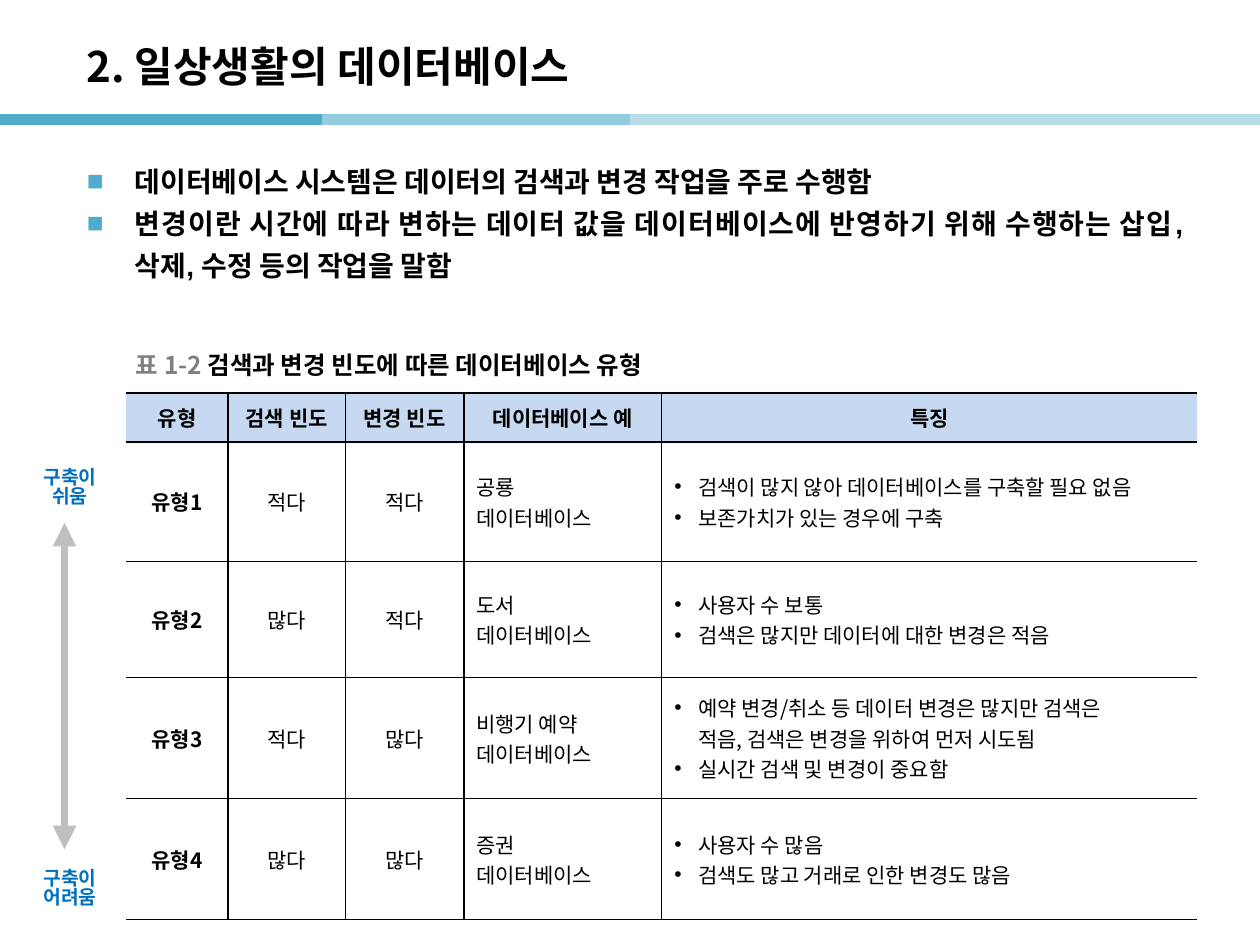
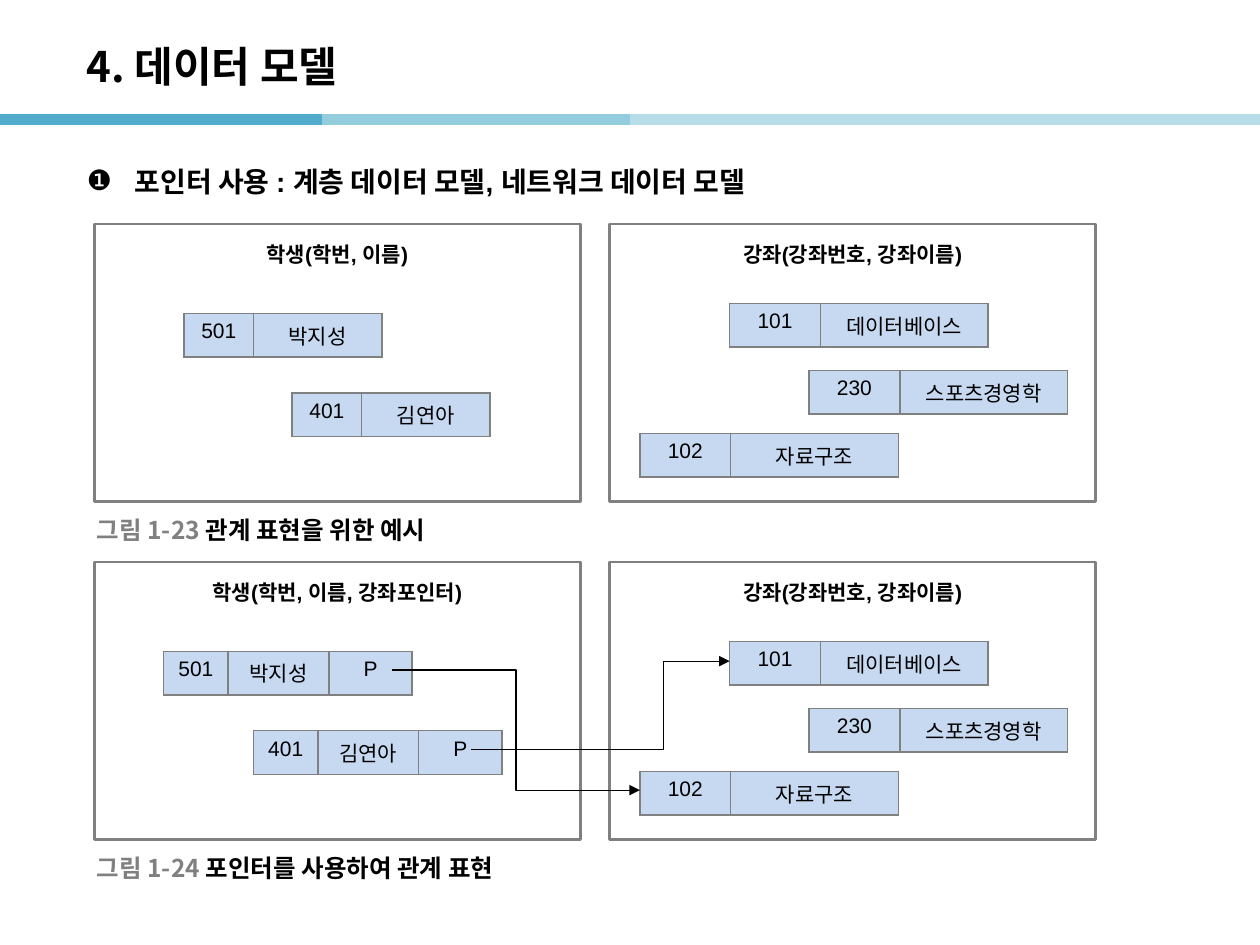
from lxml.etree import SubElement
from pptx import Presentation
from pptx.dml.color import RGBColor
from pptx.enum.shapes import MSO_CONNECTOR, MSO_SHAPE
from pptx.enum.text import MSO_ANCHOR, PP_ALIGN
from pptx.oxml.ns import qn
from pptx.util import Cm, Pt

COLORS = {
    "black": "000000", "white": "FFFFFF", "gray": "808080", "arrow": "BFBFBF",
    "cell": "C6D9F1", "label": "0070C0",
    "band_dark": "50ABCC", "band_mid": "93CDDD", "band_light": "B7DEE8",
}
KOREAN = "Noto Sans CJK KR"
LATIN = "Arial"
BANDS = [(0, 6.5, "band_dark"), (6.5, 13, "band_mid"),
         (12.7, 19.2, "band_light"), (18.95, 25.4, "band_light")]

TYPE_COLUMNS = [2.06, 2.36, 2.39, 3.99, 10.8]
TYPE_ROWS = [0.99, 2.41, 2.34, 2.44, 2.44]
TYPE_TABLE = [
    ["유형", "검색 빈도", "변경 빈도", "데이터베이스 예", "특징"],
    ["유형1", "적다", "적다", ["공룡", "데이터베이스"],
     ["검색이 많지 않아 데이터베이스를 구축할 필요 없음", "보존가치가 있는 경우에 구축"]],
    ["유형2", "많다", "적다", ["도서", "데이터베이스"],
     ["사용자 수 보통", "검색은 많지만 데이터에 대한 변경은 적음"]],
    ["유형3", "적다", "많다", ["비행기 예약", "데이터베이스"],
     ["예약 변경/취소 등 데이터 변경은 많지만 검색은\n적음, 검색은 변경을 위하여 먼저 시도됨",
      "실시간 검색 및 변경이 중요함"]],
    ["유형4", "많다", "많다", ["증권", "데이터베이스"],
     ["사용자 수 많음", "검색도 많고 거래로 인한 변경도 많음"]],
]

PANEL_LEFTS = [1.9, 12.29]
PANEL_TOP = 4.52
FIGURE_STEP = 6.81
STUDENT_COLUMNS = [1.4, 2.59]
POINTER_COLUMNS = [1.3, 2.03, 1.68]
COURSE_COLUMNS = [1.83, 3.38]
COURSES = [(14.71, 6.12, ["101", "데이터베이스"]),
           (16.31, 7.47, ["230", "스포츠경영학"]),
           (12.9, 8.74, ["102", "자료구조"])]
FIGURES = [
    ("학생(학번, 이름)", STUDENT_COLUMNS,
     [(3.71, 6.32, ["501", "박지성"]), (5.89, 7.92, ["401", "김연아"])],
     "그림 1-23 ", "관계 표현을 위한 예시"),
    ("학생(학번, 이름, 강좌포인터)", POINTER_COLUMNS,
     [(3.3, 6.32, ["501", "박지성", "P"]), (5.11, 7.92, ["401", "김연아", "P"])],
     "그림 1-24 ", "포인터를 사용하여 관계 표현"),
]


def rgb(name):
    """Return the named colour."""
    return RGBColor.from_string(COLORS[name])


def add_bullet(paragraph, character, indent, color):
    """Give a paragraph a hanging bullet."""
    properties = paragraph._p.get_or_add_pPr()
    properties.set("marL", str(Cm(indent)))
    properties.set("indent", str(-Cm(indent)))
    bullet_color = SubElement(properties, qn("a:buClr"))
    SubElement(bullet_color, qn("a:srgbClr"), val=COLORS[color])
    SubElement(properties, qn("a:buFont"), typeface=LATIN)
    SubElement(properties, qn("a:buChar"), char=character)


def write_text(frame, paragraphs, size=12, font=KOREAN, color="black", bold=False,
               align=PP_ALIGN.LEFT, spacing=None, bullet=None, indent=0.48,
               bullet_color="black"):
    """Fill a frame with paragraphs, each a string or a list of (text, colour) runs."""
    for index, content in enumerate(paragraphs):
        paragraph = frame.add_paragraph() if index else frame.paragraphs[0]
        paragraph.alignment = align
        if spacing:
            paragraph.line_spacing = spacing
        if bullet:
            add_bullet(paragraph, bullet, indent, bullet_color)
        runs = [(content, color)] if isinstance(content, str) else content
        for text, run_color in runs:
            for number, line in enumerate(text.split("\n")):
                if number:
                    paragraph.add_line_break()
                run = paragraph.add_run()
                run.text = line
                run.font.size = Pt(size)
                run.font.bold = bold
                run.font.name = font
                run.font.color.rgb = rgb(run_color)
                SubElement(run._r.get_or_add_rPr(), qn("a:ea"), typeface=KOREAN)


def add_text(slide, left, top, width, height, paragraphs, anchor=MSO_ANCHOR.MIDDLE,
             margin=0.25, **text_format):
    """Add a wrapped text box."""
    frame = slide.shapes.add_textbox(Cm(left), Cm(top), Cm(width), Cm(height)).text_frame
    frame.word_wrap = True
    frame.vertical_anchor = anchor
    frame.margin_left = frame.margin_right = Cm(margin)
    write_text(frame, paragraphs, **text_format)


def add_line(slide, start, end, color, width, kind=MSO_CONNECTOR.STRAIGHT,
             arrows=(), bend=None):
    """Add a connector with arrowheads at the named ends."""
    connector = slide.shapes.add_connector(kind, *(Cm(value) for value in (*start, *end)))
    connector.line.color.rgb = rgb(color)
    connector.line.width = Pt(width)
    properties = connector._element.spPr
    for arrow in arrows:
        SubElement(connector.line._get_or_add_ln(), qn(f"a:{arrow}"), type="triangle")
    if bend:
        guides = properties.find(qn("a:prstGeom")).find(qn("a:avLst"))
        SubElement(guides, qn("a:gd"), name="adj1", fmla=f"val {bend}")
    SubElement(properties, qn("a:effectLst"))


def style_cell(cell, fill, border, open_sides=()):
    """Set the fill and borders of a cell, leaving the open sides bare."""
    properties = cell._tc.get_or_add_tcPr()
    for side in "LRTB":
        line = SubElement(properties, qn(f"a:ln{side}"), w=str(Pt(1)))
        if side in open_sides:
            SubElement(line, qn("a:noFill"))
        else:
            solid = SubElement(line, qn("a:solidFill"))
            SubElement(solid, qn("a:srgbClr"), val=COLORS[border])
    cell.fill.solid()
    cell.fill.fore_color.rgb = rgb(fill)


def add_grid(slide, left, top, columns, rows):
    """Add a plain table with the given column widths and row heights."""
    table = slide.shapes.add_table(len(rows), len(columns), Cm(left), Cm(top),
                                   Cm(sum(columns)), Cm(sum(rows))).table
    table.first_row = table.horz_banding = False
    for column, width in zip(table.columns, columns):
        column.width = Cm(width)
    for row, height in zip(table.rows, rows):
        row.height = Cm(height)
    return table


def add_type_table(slide):
    """Add the table of database types."""
    table = add_grid(slide, 2.54, 7.92, TYPE_COLUMNS, TYPE_ROWS)
    last = len(TYPE_COLUMNS) - 1
    for row, values in enumerate(TYPE_TABLE):
        for column, value in enumerate(values):
            cell = table.cell(row, column)
            open_sides = {0: "L", last: "R"}.get(column, "")
            style_cell(cell, "white" if row else "cell", "black", open_sides)
            cell.vertical_anchor = MSO_ANCHOR.MIDDLE
            is_list = isinstance(value, list)
            write_text(cell.text_frame, value if is_list else [value],
                       bold=row == 0 or column == 0,
                       align=PP_ALIGN.LEFT if is_list else PP_ALIGN.CENTER,
                       bullet="•" if row and column == last else None)


def add_record(slide, left, top, columns, values):
    """Add a one-row table that stands for a record."""
    table = add_grid(slide, left, top, columns, [0.88])
    for cell, value in zip(table.rows[0].cells, values):
        style_cell(cell, "cell", "gray")
        write_text(cell.text_frame, [value], font=LATIN, align=PP_ALIGN.CENTER)


def add_panel(slide, left, top, heading):
    """Add a framed panel with its heading at the top."""
    shape = slide.shapes.add_shape(MSO_SHAPE.RECTANGLE, Cm(left), Cm(top), Cm(9.8), Cm(5.59))
    shape.shadow.inherit = False
    shape.fill.solid()
    shape.fill.fore_color.rgb = rgb("white")
    shape.line.color.rgb = rgb("gray")
    shape.line.width = Pt(1.5)
    frame = shape.text_frame
    frame.vertical_anchor = MSO_ANCHOR.TOP
    frame.margin_top = Cm(0.35)
    write_text(frame, [heading], font=LATIN, bold=True, align=PP_ALIGN.CENTER)


def add_caption(slide, left, top, number, caption):
    """Add a caption with a gray number."""
    add_text(slide, left, top, 13, 0.79, [[(number, "gray"), (caption, "black")]],
             size=14, bold=True)


def add_body(slide, paragraphs, **text_format):
    """Add the bulleted body text."""
    add_text(slide, 1.5, 3.02, 22.6, 15.19, paragraphs, anchor=MSO_ANCHOR.TOP, size=16,
             font=LATIN, bold=True, spacing=1.25, indent=0.97, **text_format)


def add_titled_slide(presentation, title):
    """Add a slide with the colour band and a title."""
    slide = presentation.slides.add_slide(presentation.slide_layouts[6])
    for start, end, color in BANDS:
        add_line(slide, (start, 2.41), (end, 2.41), color, 6)
    add_text(slide, 1.5, 0.56, 21, 1.52, [title], size=24, bold=True)
    return slide


def add_types_slide(presentation):
    """Build the slide on databases in daily life."""
    slide = add_titled_slide(presentation, "2. 일상생활의 데이터베이스")
    add_body(slide, ["데이터베이스 시스템은 데이터의 검색과 변경 작업을 주로 수행함",
                     "변경이란 시간에 따라 변하는 데이터 값을 데이터베이스에 반영하기 위해 "
                     "수행하는 삽입, 삭제, 수정 등의 작업을 말함"],
             align=PP_ALIGN.JUSTIFY, bullet="■", bullet_color="band_dark")
    add_caption(slide, 2.49, 6.96, "표 1-2 ", "검색과 변경 빈도에 따른 데이터베이스 유형")
    add_type_table(slide)
    add_line(slide, (1.3, 10.54), (1.3, 17.12), "arrow", 4.5, arrows=("headEnd", "tailEnd"))
    for top, ease in [(9.2, "쉬움"), (17.27, "어려움")]:
        add_text(slide, 0.66, top, 1.5, 1.3, ["구축이", ease], margin=0, size=11,
                 color="label", bold=True, align=PP_ALIGN.CENTER, spacing=0.83)


def add_models_slide(presentation):
    """Build the slide on pointer-based data models."""
    slide = add_titled_slide(presentation, "4. 데이터 모델")
    add_body(slide, ["포인터 사용 : 계층 데이터 모델, 네트워크 데이터 모델"], bullet="❶")
    for index, (heading, columns, students, number, caption) in enumerate(FIGURES):
        shift = index * FIGURE_STEP
        for left, text in zip(PANEL_LEFTS, [heading, "강좌(강좌번호, 강좌이름)"]):
            add_panel(slide, left, PANEL_TOP + shift, text)
        for widths, records in [(columns, students), (COURSE_COLUMNS, COURSES)]:
            for left, top, values in records:
                add_record(slide, left, top + shift, widths, values)
        add_caption(slide, 1.7, 10.29 + shift, number, caption)
    for start, end, bend in [((7.9, 13.51), (12.9, 15.93), 50000),
                             ((9.5, 15.11), (14.71, 13.33), 74400)]:
        add_line(slide, start, end, "black", 0.75, kind=MSO_CONNECTOR.ELBOW,
                 arrows=("tailEnd",), bend=bend)


def main():
    """Build and save the presentation."""
    presentation = Presentation()
    presentation.slide_width = Cm(25.4)
    presentation.slide_height = Cm(19.05)
    add_types_slide(presentation)
    add_models_slide(presentation)
    presentation.save("out.pptx")


if __name__ == "__main__":
    main()
